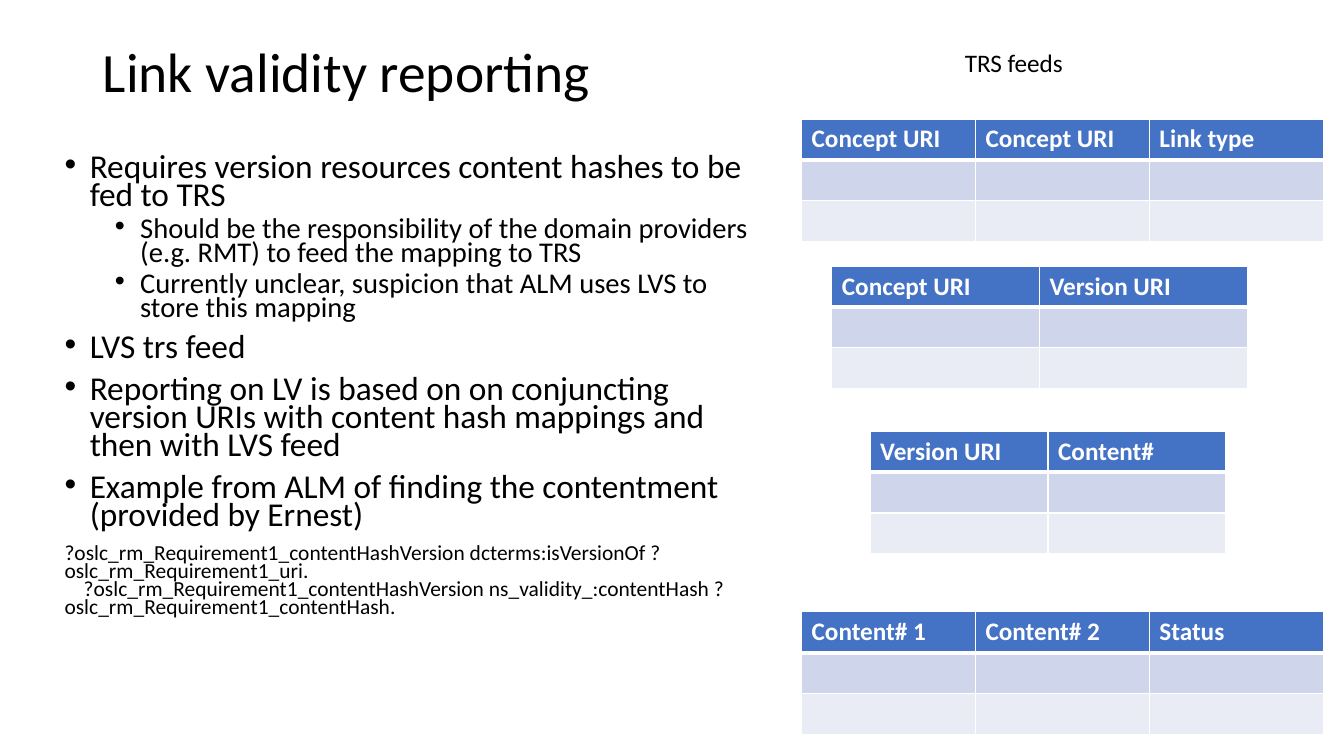
from lxml.etree import SubElement
from pptx import Presentation
from pptx.dml.color import RGBColor
from pptx.enum.text import MSO_ANCHOR, MSO_AUTO_SIZE, PP_ALIGN
from pptx.oxml import parse_xml
from pptx.oxml.ns import nsdecls, qn
from pptx.util import Inches, Pt

BLACK = RGBColor(0x00, 0x00, 0x00)
WHITE = RGBColor(0xFF, 0xFF, 0xFF)
HEADER_BLUE = RGBColor(0x44, 0x72, 0xC4)
BAND_DARK = RGBColor(0xCF, 0xD5, 0xEA)
BAND_LIGHT = RGBColor(0xE9, 0xEB, 0xF5)
ROW_FILLS = (HEADER_BLUE, BAND_DARK, BAND_LIGHT)
FONT = "Calibri"
ROW_HEIGHT = 0.405

# Level and text of each bullet
POINTS = [
    (0, "Requires version resources content hashes to be fed to TRS"),
    (1, "Should be the responsibility of the domain providers (e.g. RMT) to feed the mapping to TRS"),
    (1, "Currently unclear, suspicion that ALM uses LVS to store this mapping"),
    (0, "LVS trs feed"),
    (0, "Reporting on LV is based on on conjuncting version URIs with content hash mappings and then with LVS feed"),
    (0, "Example from ALM of finding the contentment (provided by Ernest)"),
]
# Text, first-line indent and space before of each query line
QUERY = [
    ("?oslc_rm_Requirement1_contentHashVersion dcterms:isVersionOf ?oslc_rm_Requirement1_uri.", 0, 10),
    ("?oslc_rm_Requirement1_contentHashVersion ns_validity_:contentHash ?oslc_rm_Requirement1_contentHash.", 0.19, 0),
]
# Left, top, column width and headings of each feed
FEEDS = [
    (7.95, 1.18, 1.725, ("Concept URI", "Concept URI", "Link type")),
    (8.25, 2.64, 2.06, ("Concept URI", "Version URI")),
    (8.63, 4.28, 1.765, ("Version URI", "Content#")),
    (7.95, 6.07, 1.725, ("Content# 1", "Content# 2", "Status")),
]


def write(paragraph, text, size=18, color=BLACK, bold=False, level=0, spacing=1.0,
          before=0, margin=0, indent=0, bullet=False):
    """Fill a paragraph with one formatted run."""
    run = paragraph.add_run()
    run.text = text
    run.font.name = FONT
    run.font.size = Pt(size)
    run.font.bold = bold
    run.font.color.rgb = color
    paragraph.alignment = PP_ALIGN.LEFT
    paragraph.level = level
    paragraph.line_spacing = spacing
    paragraph.space_before = Pt(before)
    paragraph.space_after = Pt(0)
    properties = paragraph._p.get_or_add_pPr()
    properties.set("marL", str(Inches(margin)))
    properties.set("indent", str(Inches(indent)))
    if bullet:
        SubElement(properties, qn("a:buFont")).set("typeface", "Arial")
        SubElement(properties, qn("a:buChar")).set("char", "•")
    else:
        SubElement(properties, qn("a:buNone"))


def place(shape, left, top, width, height, anchor):
    shape.left, shape.top = Inches(left), Inches(top)
    shape.width, shape.height = Inches(width), Inches(height)
    frame = shape.text_frame
    frame.word_wrap = True
    frame.auto_size = MSO_AUTO_SIZE.NONE
    frame.vertical_anchor = anchor
    return frame


def add_title(slide):
    frame = place(slide.shapes.title, 0.92, 0.4, 11.5, 0.67, MSO_ANCHOR.MIDDLE)
    write(frame.paragraphs[0], "Link validity reporting", size=39.6, spacing=0.9)


def add_points(slide):
    frame = place(slide.placeholders[1], 0.54, 1.5, 7.04, 4.76, MSO_ANCHOR.TOP)
    for number, (level, text) in enumerate(POINTS):
        paragraph = frame.add_paragraph() if number else frame.paragraphs[0]
        write(paragraph, text, size=20.4 if level else 23.8, level=level, spacing=0.7,
              before=5 if level else 10, margin=0.25 + 0.5 * level, indent=-0.25, bullet=True)
    for text, indent, before in QUERY:
        write(frame.add_paragraph(), text, size=15.3, spacing=0.7, before=before, indent=indent)


def add_feeds_label(slide):
    label = slide.shapes.add_textbox(Inches(9.47), Inches(0.42), Inches(1.19), Inches(0.4))
    label.text_frame.word_wrap = False
    label.text_frame.auto_size = MSO_AUTO_SIZE.SHAPE_TO_FIT_TEXT
    write(label.text_frame.paragraphs[0], "TRS feeds")


def set_borders(cell, top, bottom):
    """Draw white cell edges, ahead of the fill as the schema asks."""
    properties = cell._tc.get_or_add_tcPr()
    edges = (("lnL", 1), ("lnR", 1), ("lnT", top), ("lnB", bottom))
    for position, (edge, points) in enumerate(edges):
        properties.insert(position, parse_xml(
            f'<a:{edge} {nsdecls("a")} w="{Pt(points)}"><a:solidFill>'
            f'<a:srgbClr val="{WHITE}"/></a:solidFill></a:{edge}>'))


def add_feed(slide, left, top, column_width, headings):
    feed = slide.shapes.add_table(
        len(ROW_FILLS), len(headings), Inches(left), Inches(top),
        Inches(column_width * len(headings)), Inches(ROW_HEIGHT * len(ROW_FILLS))).table
    for column in feed.columns:
        column.width = Inches(column_width)
    for row_number, fill in enumerate(ROW_FILLS):
        feed.rows[row_number].height = Inches(ROW_HEIGHT)
        for column_number, heading in enumerate(headings):
            cell = feed.cell(row_number, column_number)
            cell.fill.solid()
            cell.fill.fore_color.rgb = fill
            set_borders(cell, top=3 if row_number == 1 else 1, bottom=3 if row_number == 0 else 1)
            if row_number == 0:
                write(cell.text_frame.paragraphs[0], heading, color=WHITE, bold=True)


def main():
    deck = Presentation()
    deck.slide_width, deck.slide_height = Inches(13.33), Inches(7.5)
    slide = deck.slides.add_slide(deck.slide_layouts[1])
    # Explanation on the left
    add_title(slide)
    add_points(slide)
    # Feeds on the right
    add_feeds_label(slide)
    for feed in FEEDS:
        add_feed(slide, *feed)
    deck.save("out.pptx")


if __name__ == "__main__":
    main()
